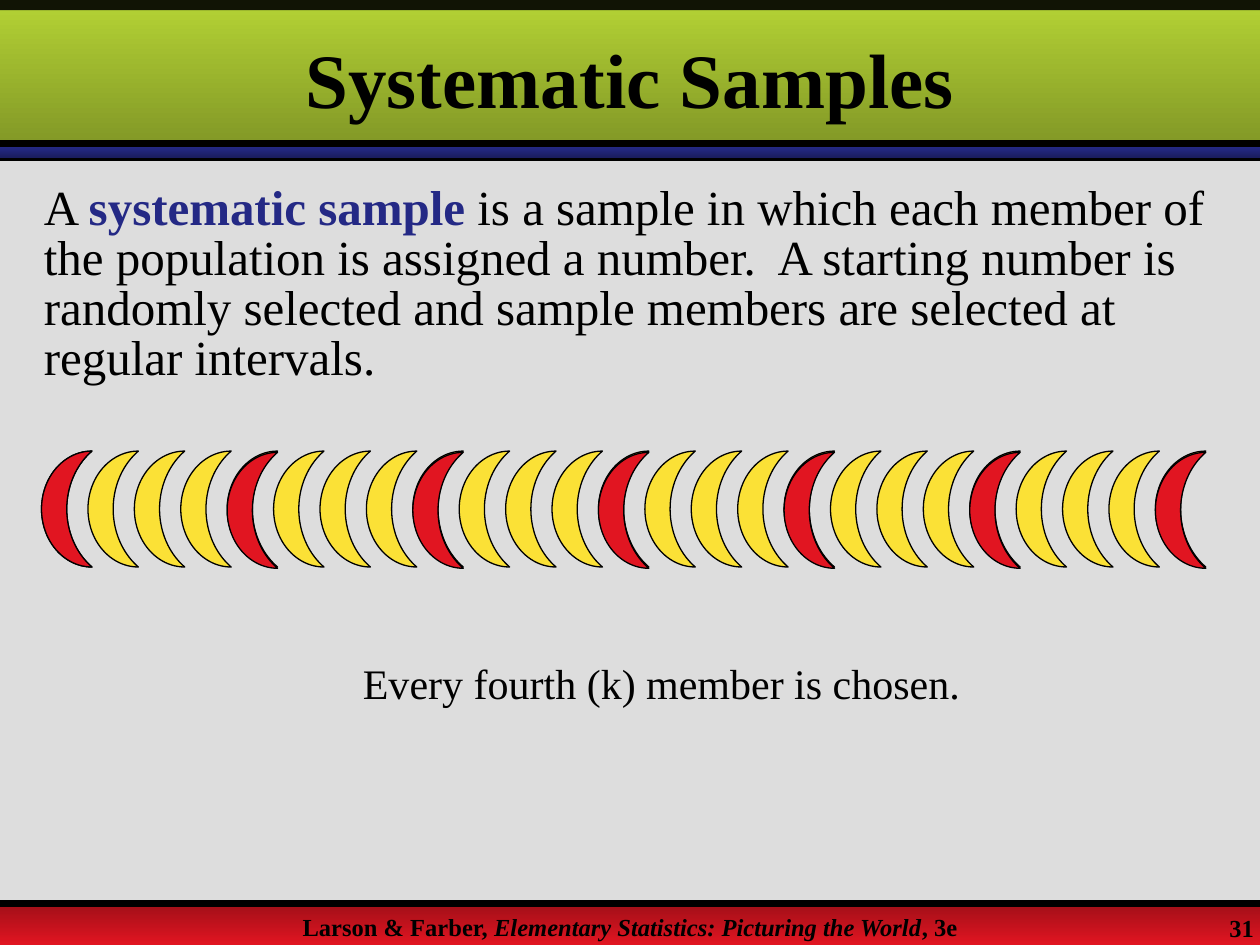
"""Build the Systematic Samples slide with python-pptx."""
from typing import NamedTuple

import pptx
import pptx.dml.color
import pptx.enum.shapes
import pptx.enum.text
import pptx.oxml
import pptx.oxml.ns
import pptx.util
from pptx.util import Inches

COLORS = {
    "background": "DDDDDD", "black": "000000",
    "red": "E11521", "dark_red": "A10F18",
    "blue": "242985", "dark_blue": "1A1D5F",
    "green": "B5D335", "dark_green": "819726",
    "yellow": "FBE136",
}
FONT = "Times New Roman"
SHAPE = pptx.enum.shapes.MSO_SHAPE
ALIGN = pptx.enum.text.PP_ALIGN
ANCHOR = pptx.enum.text.MSO_ANCHOR
AUTO_SIZE = pptx.enum.text.MSO_AUTO_SIZE
MEMBERS = 25
INTERVAL = 4
MOON_LEFT, MOON_RIGHT = 0.33, 9.17


class Box(NamedTuple):
    """Position and size in inches."""
    left: float
    top: float
    width: float
    height: float

    def emu(self):
        """Return the four lengths as Inches."""
        return [Inches(v) for v in self]


class Band(NamedTuple):
    """Full-width bar with a vertical gradient."""
    top: float
    height: float
    start: str
    end: str


class Run(NamedTuple):
    """Piece of text with its own style."""
    text: str
    bold: bool = False
    italic: bool = False
    color: str = "black"


def rgb(name: str):
    """Look up a named colour."""
    return pptx.dml.color.RGBColor.from_string(COLORS[name])


def add_band(s, band: Band):
    """Draw a full-width bar without outline."""
    sp = s.shapes.add_shape(SHAPE.RECTANGLE, *Box(0, band.top, 10, band.height).emu())
    sp.shadow.inherit = False
    sp.line.fill.background()
    if band.start == band.end:
        sp.fill.solid()
        sp.fill.fore_color.rgb = rgb(band.start)
        return sp
    sp.fill.gradient()
    sp.fill.gradient_angle = 270
    for stop, name in zip(sp.fill.gradient_stops, (band.start, band.end)):
        stop.color.rgb = rgb(name)
    return sp


def set_alpha(sp, percent: int) -> None:
    """Set the opacity of a solid fill."""
    color = sp._element.spPr.find(".//" + pptx.oxml.ns.qn("a:srgbClr"))
    alpha = pptx.oxml.parse_xml(f'<a:alpha {pptx.oxml.ns.nsdecls("a")} val="{percent * 1000}"/>')
    color.append(alpha)


def add_rule(s, y: float) -> None:
    """Draw a thick black line across the slide."""
    line = s.shapes.add_connector(pptx.enum.shapes.MSO_CONNECTOR.STRAIGHT,
                                  0, Inches(y), Inches(10), Inches(y))
    line.line.color.rgb = rgb("black")
    line.line.width = pptx.util.Pt(4)
    line._element.spPr.append(
        pptx.oxml.parse_xml(f'<a:effectLst {pptx.oxml.ns.nsdecls("a")}/>'))


def write(tf, runs: list[Run], size: float, align=ALIGN.LEFT):
    """Fill the first paragraph with runs and return it."""
    p = tf.paragraphs[0]
    p.alignment = align
    for run in runs:
        r = p.add_run()
        r.text = run.text
        r.font.name = FONT
        r.font.size = pptx.util.Pt(size)
        r.font.bold = run.bold
        r.font.italic = run.italic
        r.font.color.rgb = rgb(run.color)
    return p


def add_text(s, box: Box, runs: list[Run], size: float, align=ALIGN.LEFT, wrap: bool = True):
    """Add a text box and return its paragraph."""
    tf = s.shapes.add_textbox(*box.emu()).text_frame
    tf.word_wrap = wrap
    return write(tf, runs, size, align)


def add_moon(s, index: int, top: float, color: str) -> None:
    """Draw one population member at its place in the row."""
    left = MOON_LEFT + index * (MOON_RIGHT - MOON_LEFT) / (MEMBERS - 1)
    sp = s.shapes.add_shape(SHAPE.MOON, *Box(left, top, 0.4, 0.92).emu())
    sp.shadow.inherit = False
    sp.adjustments[0] = 0.5
    sp.fill.solid()
    sp.fill.fore_color.rgb = rgb(color)
    sp.line.color.rgb = rgb("black")
    sp.line.width = pptx.util.Pt(0.75)


def add_frame(s) -> None:
    """Draw the header and footer bars with their text."""
    add_band(s, Band(7.17, 0.33, "dark_red", "red"))
    add_rule(s, 1.25)
    add_text(s, Box(0, 7.19, 10, 0.2), [
        Run("Larson & Farber, ", bold=True),
        Run("Elementary Statistics: Picturing the World", bold=True, italic=True),
        Run(", 3e", bold=True),
    ], 14, ALIGN.CENTER)
    add_band(s, Band(1.17, 0.08, "blue", "dark_blue"))
    add_band(s, Band(0, 1.17, "green", "dark_green"))
    add_rule(s, 7.17)
    set_alpha(add_band(s, Band(0, 0.08, "black", "black")), 90)
    add_rule(s, 1.14)
    add_text(s, Box(9.66, 7.2, 0.43, 0.33), [Run("31", bold=True)], 14, wrap=False)


def add_title(s) -> None:
    """Place the title above the header bar."""
    title = s.shapes.title
    title.left, title.top, title.width, title.height = Box(0, 0.08, 10, 1.08).emu()
    tf = title.text_frame
    tf.auto_size = AUTO_SIZE.NONE
    tf.vertical_anchor = ANCHOR.MIDDLE
    write(tf, [Run("Systematic Samples", bold=True)], 44, ALIGN.CENTER)
    title._element.getparent().append(title._element)


def main() -> None:
    """Build and save the presentation."""
    prs = pptx.Presentation()
    prs.slide_width, prs.slide_height = Inches(10), Inches(7.5)
    s = prs.slides.add_slide(prs.slide_layouts[5])
    s.background.fill.solid()
    s.background.fill.fore_color.rgb = rgb("background")
    add_frame(s)
    add_title(s)
    p = add_text(s, Box(0.25, 1.42, 9.42, 1.35), [
        Run("A "),
        Run("systematic sample ", bold=True, color="blue"),
        Run("is a sample in which each member of the population is assigned a number.  "
            "A starting number is randomly selected and sample members are selected "
            "at regular intervals."),
    ], 28)
    p.line_spacing = 0.85
    p.space_before = pptx.util.Pt(5.6)
    p = add_text(s, Box(2, 5.17, 6.5, 0.5), [Run("Every fourth (k) member is chosen.")],
                 24, ALIGN.CENTER)
    p.space_before = pptx.util.Pt(12)
    for i in range(MEMBERS):
        add_moon(s, i, 3.58, "yellow")
    for i in range(0, MEMBERS, INTERVAL):
        add_moon(s, i, 3.59 if i else 3.58, "red")
    prs.save("out.pptx")


if __name__ == "__main__":
    main()
